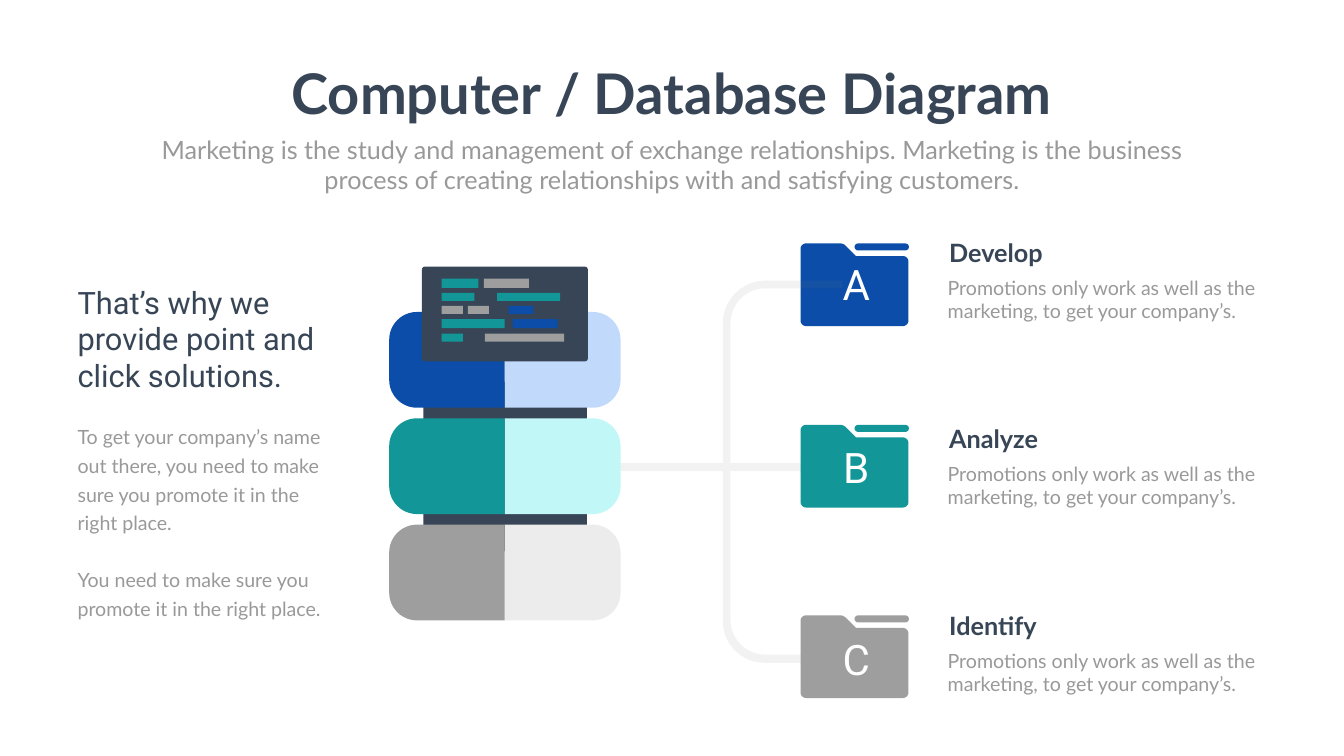
from lxml.etree import SubElement
from pptx import Presentation
from pptx.dml.color import RGBColor
from pptx.enum.shapes import MSO_SHAPE as Shape
from pptx.enum.text import MSO_ANCHOR as Anchor, MSO_AUTO_SIZE as AutoSize, PP_ALIGN as Align
from pptx.oxml.ns import qn
from pptx.util import Pt

PX = 9144  # 100 px to the inch
NAVY = RGBColor(0x37, 0x45, 0x56)
BLUE = RGBColor(0x0B, 0x4D, 0xA8)
TEAL = RGBColor(0x12, 0x96, 0x98)
GRAY = RGBColor(0x9D, 0x9E, 0x9D)
PALE_BLUE = RGBColor(0xC1, 0xD9, 0xFB)
PALE_TEAL = RGBColor(0xC2, 0xF7, 0xF8)
PALE_GRAY = RGBColor(0xEB, 0xEC, 0xEB)
TEXT_GRAY = RGBColor(0x99, 0x99, 0x99)
TRACK = RGBColor(0x80, 0x80, 0x80)
WHITE = RGBColor(0xFF, 0xFF, 0xFF)
PAPER = RGBColor(0xFE, 0xFF, 0xFE)

deck = Presentation()
deck.slide_width, deck.slide_height = 2666 * PX, 1500 * PX
page = deck.slides.add_slide(deck.slide_layouts[0])
page.background.fill.solid()
page.background.fill.fore_color.rgb = PAPER
shapes = page.shapes
painted = []  # (shape, colour) pairs, filled in at the end


def outline(corners):
    """Build a closed freeform from (x, y, radius) corners."""
    points = []
    for index, (x, y, radius) in enumerate(corners):
        if not radius:
            points.append((x * PX, y * PX))
            continue
        ends = []
        for near_x, near_y, _ in (corners[index - 1], corners[(index + 1) % len(corners)]):
            length = ((near_x - x) ** 2 + (near_y - y) ** 2) ** 0.5
            ends.append((radius * (near_x - x) / length, radius * (near_y - y) / length))
        (in_x, in_y), (out_x, out_y) = ends
        for step in range(13):
            t = step / 12
            before = (1 - t) ** 3 + 1.35 * t * (1 - t) ** 2
            after = t ** 3 + 1.35 * t ** 2 * (1 - t)
            points.append(((x + before * in_x + after * out_x) * PX,
                           (y + before * in_y + after * out_y) * PX))
    builder = shapes.build_freeform(*points[0], scale=1.0)
    builder.add_line_segments(points[1:], close=True)
    return builder.convert_to_shape()


def write(frame, texts, size, color, font="Lato", bold=False, align=Align.LEFT,
          box=None, spacing=None):
    """Set paragraphs in a placeholder, or in a new text box if none is given."""
    left, top, width, height = [value * PX for value in frame]
    box = box or shapes.add_textbox(left, top, width, height)
    box.left, box.top, box.width, box.height = left, top, width, height
    text_frame = box.text_frame
    text_frame.text = "\n".join(texts)
    text_frame.word_wrap = True
    text_frame.auto_size = AutoSize.NONE
    text_frame.vertical_anchor = Anchor.TOP
    for index, para in enumerate(text_frame.paragraphs):
        para.alignment = align
        para.space_before = Pt(spacing if index and spacing else 0)
        if spacing:
            para.line_spacing = Pt(spacing)
        for span in para.runs:
            span.font.name, span.font.size, span.font.bold = font, Pt(size), bold
            span.font.color.rgb = color


# Heading
write((560, 112, 1545, 145), ["Computer / Database Diagram"], 80, NAVY, bold=True,
      align=Align.CENTER, box=shapes.title)
write((292, 261, 2082, 131),
      ["Marketing is the study and management of exchange relationships. Marketing is the "
       "business process of creating relationships with and satisfying customers."],
      36, TEXT_GRAY, align=Align.CENTER, box=page.placeholders[1])

# Left column
write((144, 557, 535, 232), ["That’s why we provide point and click solutions."],
      44, NAVY, "Roboto")
write((144, 829, 510, 407),
      ["To get your company’s name out there, you need to make sure you promote it in "
       "the right place.",
       "You need to make sure you promote it in the right place."],
      28, TEXT_GRAY, spacing=40.8)

# Folders with their topics; the connecting track lies over the first folder only
topics = [
    ("A", "Develop", BLUE, 483, 507, 466),
    ("B", "Analyze", TEAL, 843, 871, 835),
    ("C", "Identify", GRAY, 1221, 1252, 1206),
]
for letter, heading, color, top, letter_top, heading_top in topics:
    folder = outline([(1588, top, 11), (1673, top, 6), (1698, top + 25, 0),
                      (1802, top + 25, 11), (1802, top + 164, 11), (1588, top + 164, 11)])
    tab = shapes.add_shape(Shape.ROUNDED_RECTANGLE, 1695 * PX, top * PX, 108 * PX, 14 * PX)
    tab.adjustments[0] = 0.5
    painted += [(folder, color), (tab, color)]
    write((1644, letter_top, 109, 132), [letter], 60, WHITE, "Roboto", align=Align.CENTER)
    write((1873, heading_top, 261, 71), [heading], 36, NAVY, bold=True)
    write((1870, heading_top + 76, 652, 104),
          ["Promotions only work as well as the marketing, to get your company’s."],
          28, TEXT_GRAY)
    if letter == "A":
        track = outline([
            (1671, 557, 0), (1434, 557, 84), (1434, 919, 0), (1161, 919, 0),
            (1161, 935, 0), (1434, 935, 0), (1434, 1315, 82), (1671, 1315, 0),
            (1671, 1299, 0), (1449, 1299, 69), (1449, 935, 0), (1671, 935, 0),
            (1671, 919, 0), (1449, 919, 0), (1449, 572, 69), (1671, 572, 0)])
        painted.append((track, TRACK))

# Database: a post behind three two-tone drums
post = shapes.add_shape(Shape.RECTANGLE, 840 * PX, 757 * PX, 324 * PX, 337 * PX)
painted.append((post, NAVY))
for row, (dark, pale) in enumerate([(BLUE, PALE_BLUE), (TEAL, PALE_TEAL), (GRAY, PALE_GRAY)]):
    top = 619 + 211 * row
    bottom = top + 190
    for outer, color in ((1231, pale), (772, dark)):
        half = outline([(1001, top, 0), (outer, top, 55), (outer, bottom, 55), (1001, bottom, 0)])
        painted.append((half, color))

# Screen with lines of code
screen = shapes.add_shape(Shape.ROUNDED_RECTANGLE, 837 * PX, 529 * PX, 329 * PX, 188 * PX)
screen.adjustments[0] = 0.03
painted.append((screen, NAVY))
code_lines = [
    (553, 18, [(876, 73, TEAL), (960, 89, GRAY)]),
    (581, 16, [(876, 65, TEAL), (986, 125, TEAL)]),
    (607, 16, [(876, 42, GRAY), (928, 42, GRAY), (1009, 49, BLUE)]),
    (633, 18, [(876, 125, TEAL), (1017, 89, BLUE)]),
    (662, 16, [(876, 42, TEAL), (962, 157, GRAY)]),
]
for top, height, bars in code_lines:
    for left, width, color in bars:
        bar = shapes.add_shape(Shape.RECTANGLE, left * PX, top * PX, width * PX, height * PX)
        painted.append((bar, color))

for shape, color in painted:
    shape.shadow.inherit = False
    shape.line.fill.background()
    shape.fill.solid()
    shape.fill.fore_color.rgb = color
track_color = track.element.spPr.find(".//" + qn("a:srgbClr"))
SubElement(track_color, qn("a:alpha")).set("val", "10000")

deck.save("out.pptx")
